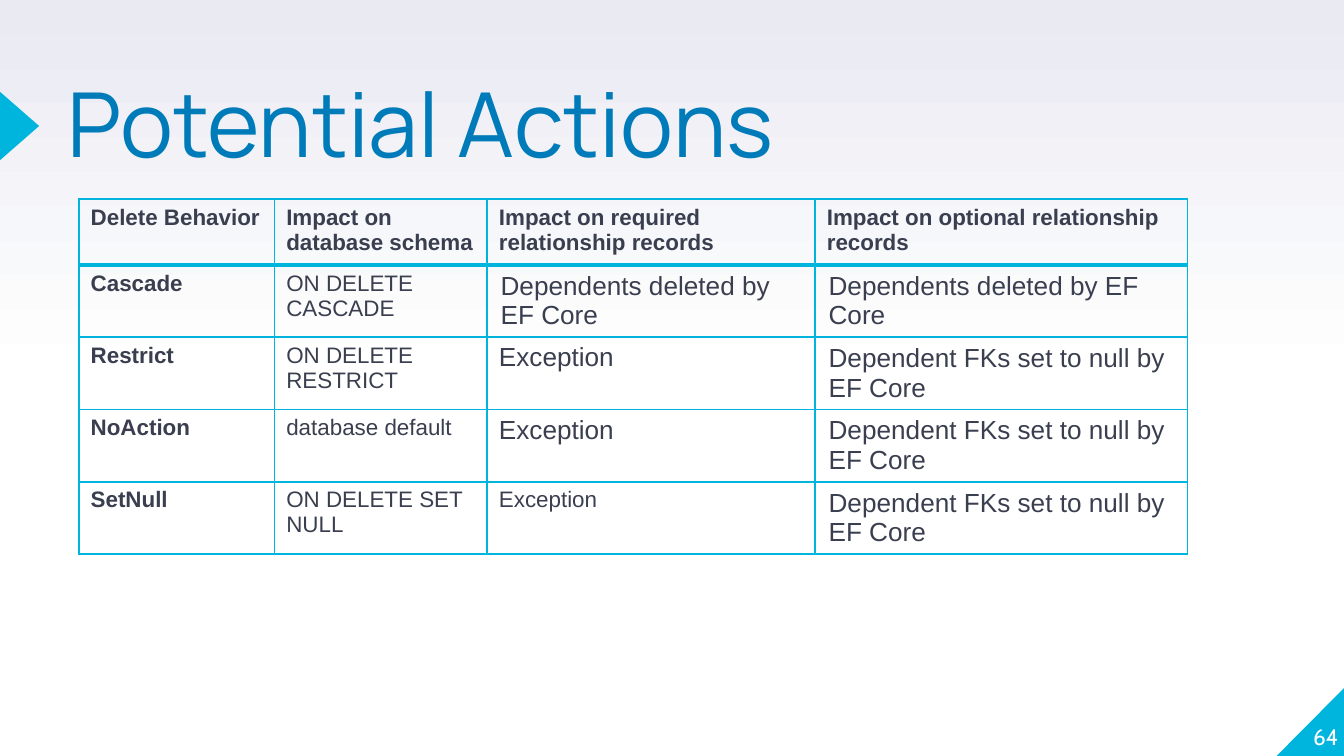
import pptx
import pptx.util
import pptx.dml.color
import pptx.enum.shapes
import pptx.enum.text
import pptx.oxml.ns
import lxml.etree

Pt = pptx.util.Pt
Shape = pptx.enum.shapes.MSO_SHAPE
Align = pptx.enum.text.PP_ALIGN
Anchor = pptx.enum.text.MSO_ANCHOR

TITLE = "Potential Actions"
PAGE_NUMBER = "64"
HEADER = ["Delete Behavior", "Impact on database schema",
          "Impact on required relationship records",
          "Impact on optional relationship records"]
DELETED = "Dependents deleted by EF Core"
NULLED = "Dependent FKs set to null by EF Core"
BEHAVIORS = [
    ["Cascade", "ON DELETE CASCADE", DELETED, DELETED],
    ["Restrict", "ON DELETE RESTRICT", "Exception", NULLED],
    ["NoAction", "database default", "Exception", NULLED],
    ["SetNull", "ON DELETE SET NULL", "Exception", NULLED],
]
COLUMN_WIDTHS = [104.8, 113.9, 175.7, 199.6]
HEADER_HEIGHT, ROW_HEIGHT = 35.4, 38.7
TIGHT, LOOSE = (6.3, 3.1), (7.2, 3.6)

THEME = {
    "accent": "00B5DD", "title": "007BB9", "text": "3A3F50",
    "white": "FFFFFF", "haze": "E9EAF2",
    "title_font": "Manrope", "body_font": "Arial", "number_font": "Cabin",
    "title_size": 48, "large": 14, "small": 12,
}


def color(name):
    return pptx.dml.color.RGBColor.from_string(THEME[name])


def write(frame, text, *, font="body_font", size="small", ink="text",
          bold=False, align=Align.LEFT, spacing=None):
    para = frame.paragraphs[0]
    para.alignment = align
    if spacing:
        para.line_spacing = spacing
    span = para.add_run()
    span.text = text
    span.font.name = THEME[font]
    span.font.size = Pt(THEME[size])
    span.font.bold = bold
    span.font.color.rgb = color(ink)


def set_margins(target, across, down):
    target.margin_left = target.margin_right = Pt(across)
    target.margin_top = target.margin_bottom = Pt(down)


def add_accent(page, kind, left, top, width, height):
    shape = page.shapes.add_shape(kind, Pt(left), Pt(top), Pt(width), Pt(height))
    shape.shadow.inherit = False
    shape.fill.solid()
    shape.fill.fore_color.rgb = color("accent")
    shape.line.fill.background()
    return shape


def set_borders(cell, top, bottom):
    properties = cell._tc.get_or_add_tcPr()
    qn = pptx.oxml.ns.qn
    for side, width in (("L", 1), ("R", 1), ("T", top), ("B", bottom)):
        line = lxml.etree.SubElement(properties, qn("a:ln" + side), w=str(Pt(width)))
        fill = lxml.etree.SubElement(line, qn("a:solidFill"))
        lxml.etree.SubElement(fill, qn("a:srgbClr"), val=THEME["accent"])


def paint_background(page):
    fill = page.background.fill
    fill.gradient()
    fill.gradient_angle = 90
    for stop, (position, name) in zip(fill.gradient_stops, [(0.5, "white"), (1, "haze")]):
        stop.position = position
        stop.color.rgb = color(name)


def add_behavior_table(page):
    rows = [HEADER] + BEHAVIORS
    heights = [HEADER_HEIGHT] + [ROW_HEIGHT] * len(BEHAVIORS)
    table = page.shapes.add_table(
        len(rows), len(HEADER), Pt(42.3), Pt(106.6),
        Pt(sum(COLUMN_WIDTHS)), Pt(sum(heights))).table
    table.first_row = table.horz_banding = False
    for column, width in zip(table.columns, COLUMN_WIDTHS):
        column.width = Pt(width)
    for r, (texts, height) in enumerate(zip(rows, heights)):
        table.rows[r].height = Pt(height)
        for c, text in enumerate(texts):
            cell = table.cell(r, c)
            is_large = r > 0 and (c == 3 or c == 2 and r < len(BEHAVIORS))
            is_loose = is_large and text != "Exception"
            set_margins(cell, *(LOOSE if is_loose else TIGHT))
            set_borders(cell, 2 if r == 1 else 1, 2 if r == 0 else 1)
            cell.fill.background()
            write(cell.text_frame, text, size="large" if is_large else "small",
                  bold=r == 0 or c == 0)


def main():
    deck = pptx.Presentation()
    deck.slide_width, deck.slide_height = Pt(720), Pt(405)
    page = deck.slides.add_slide(deck.slide_layouts[5])
    paint_background(page)

    corner = add_accent(page, Shape.RIGHT_TRIANGLE, 684, 368.2, 36.5, 36.8)
    corner._element.spPr.xfrm.set("flipH", "1")
    pointer = add_accent(page, Shape.ISOSCELES_TRIANGLE, -7.9, 57, 36.7, 21)
    pointer.rotation = 90

    title = page.shapes.title
    title.left, title.top, title.width, title.height = Pt(36), Pt(47.5), Pt(492), Pt(85)
    number = page.shapes.add_textbox(Pt(681), Pt(365), Pt(36), Pt(36.7))
    for box, anchor in ((title, Anchor.TOP), (number, Anchor.BOTTOM)):
        frame = box.text_frame
        frame.word_wrap = True
        frame.auto_size = pptx.enum.text.MSO_AUTO_SIZE.NONE
        frame.vertical_anchor = anchor
        set_margins(frame, 0, 0)
    write(title.text_frame, TITLE, font="title_font", size="title_size",
          ink="title", spacing=0.8)
    write(number.text_frame, PAGE_NUMBER, font="number_font", ink="white",
          align=Align.RIGHT)

    add_behavior_table(page)
    deck.save("out.pptx")


if __name__ == "__main__":
    main()
